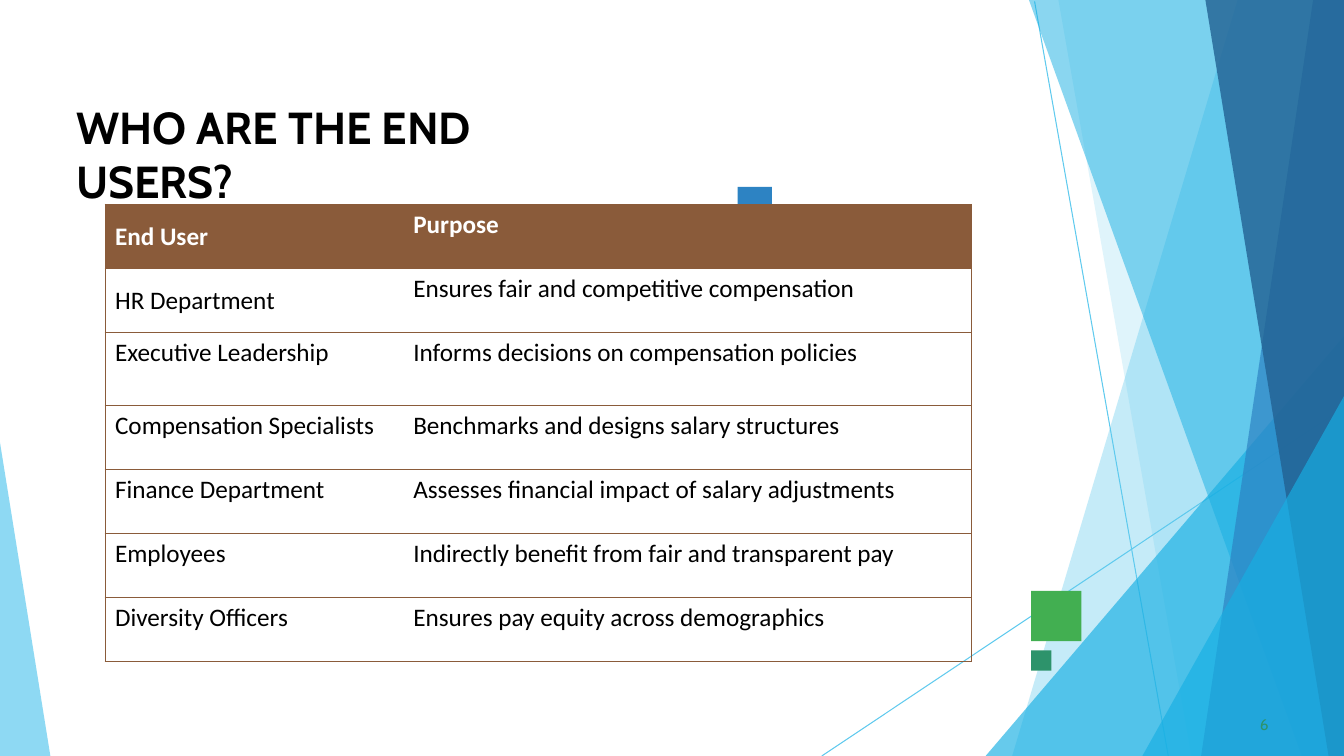
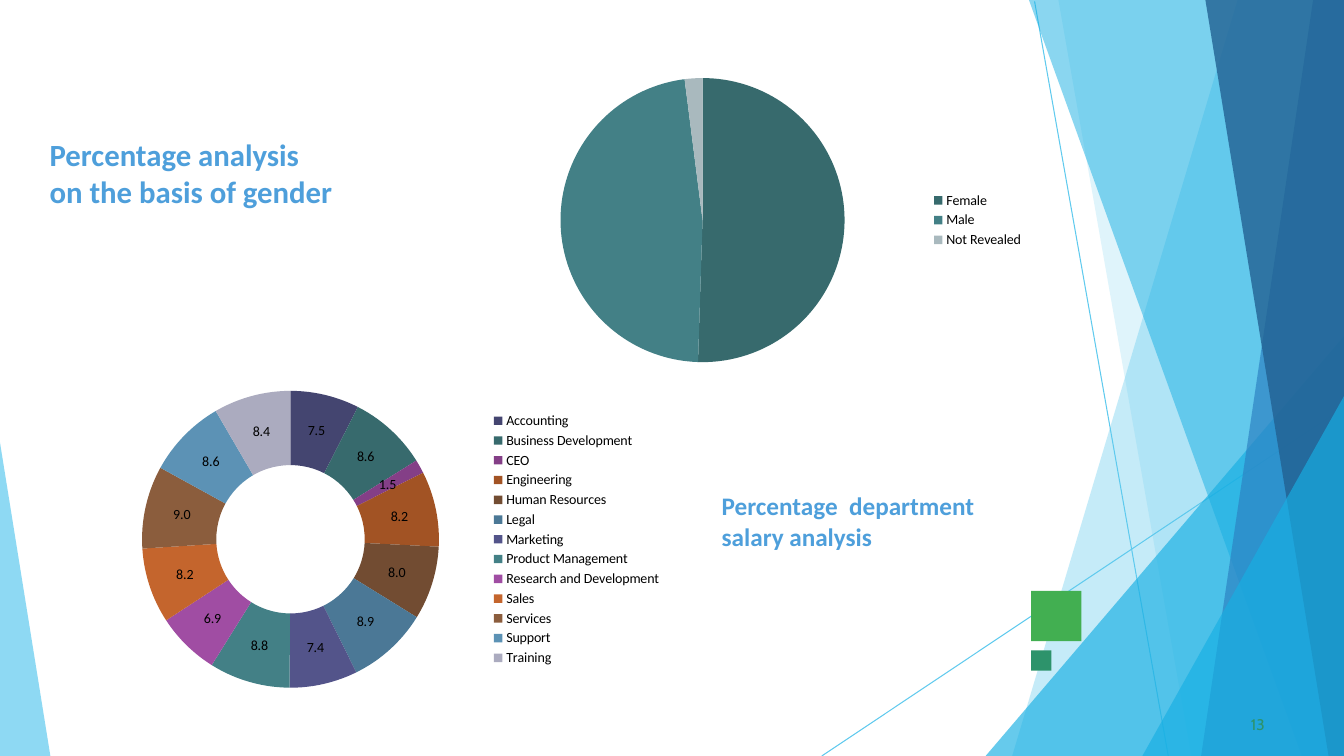
from lxml.etree import SubElement
from pptx import Presentation
from pptx.chart.data import CategoryChartData
from pptx.dml.color import RGBColor
from pptx.enum.chart import XL_CHART_TYPE, XL_LEGEND_POSITION
from pptx.enum.shapes import MSO_CONNECTOR, MSO_SHAPE
from pptx.enum.text import MSO_ANCHOR
from pptx.oxml import parse_xml
from pptx.oxml.ns import nsdecls, qn
from pptx.util import Pt

W, H = 960, 540
BLACK = RGBColor(0x00, 0x00, 0x00)
WHITE = RGBColor(0xFF, 0xFF, 0xFF)
SKY = RGBColor(0x5F, 0xCA, 0xEE)
CYAN = RGBColor(0x17, 0xAF, 0xE3)
BLUE = RGBColor(0x2D, 0x83, 0xC3)
NAVY = RGBColor(0x22, 0x61, 0x92)
GREEN = RGBColor(0x42, 0xAF, 0x51)
TEAL = RGBColor(0x2D, 0x93, 0x6B)
HEADING = RGBColor(0x4E, 0x9F, 0xDB)
BROWN = RGBColor(0x8A, 0x5B, 0x3A)

LINES = [(739, 1, 834.5, H), (W, 291, 587, H)]
PANELS = [
    (SKY, 36, [(W, 0), (884, 0), (723, H), (W, H)]),
    (SKY, 20, [(W, 0), (756, 0), (851, H), (W, H)]),
    (CYAN, 66, [(W, 240), (703.5, H), (W, H)]),
    (CYAN, 50, [(W, 0), (735, 0), (929.5, H), (W, H)]),
    (BLUE, 70, [(W, 0), (938, 0), (858, H), (W, H)]),
    (NAVY, 80, [(W, 0), (861, 0), (949, H), (W, H)]),
    (CYAN, 66, [(W, 283), (816.5, H), (W, H)]),
    (SKY, 70, [(0, 316), (0, H), (35.5, H)]),
]
SQUARES = [(GREEN, 736.5, 422, 36), (TEAL, 736.5, 464.5, 14.5)]
ACCENT = (BLUE, 527, 133.5, 24.5)

TEXTS = [
    [("WHO ARE THE END USERS?", 54.5, 70.5, 394.5, 41, 32, "Cabin", BLACK, True),
     ("6", 897, 510, 16, 15, 11, "Cabin", TEAL, False)],
    [("Percentage analysis\von the basis of gender", 35.5, 96, 416, 60, 22, "Calibri", HEADING, True),
     ("Percentage  department\vsalary analysis", 515.5, 347, 250, 44, 18, "Calibri", HEADING, True),
     ("13", 890.5, 510, 20, 15, 11, "Cabin", TEAL, False)],
]

ROWS = [
    ("End User", "Purpose"),
    ("HR Department", "Ensures fair and competitive compensation"),
    ("Executive Leadership", "Informs decisions on compensation policies"),
    ("Compensation Specialists", "Benchmarks and designs salary structures"),
    ("Finance Department", "Assesses financial impact of salary adjustments"),
    ("Employees", "Indirectly benefit from fair and transparent pay"),
    ("Diversity Officers", "Ensures pay equity across demographics"),
]

GENDERS = [("Female", 50, "376A6D"), ("Male", 47, "438086"), ("Not Revealed", 2, "A9B9BE")]
DEPARTMENTS = [
    ("Accounting", 7.5, "444570"),
    ("Business Development", 8.6, "376A6D"),
    ("CEO", 1.5, "843F87"),
    ("Engineering", 8.2, "A25324"),
    ("Human Resources", 8, "724C32"),
    ("Legal", 8.9, "4B7896"),
    ("Marketing", 7.4, "53548A"),
    ("Product Management", 8.8, "438086"),
    ("Research and Development", 6.9, "A04DA3"),
    ("Sales", 8.2, "C4652D"),
    ("Services", 9, "8B5D3D"),
    ("Support", 8.6, "5C92B5"),
    ("Training", 8.4, "ABABBF"),
]
CHARTS = [
    (XL_CHART_TYPE.PIE, GENDERS, (350.5, 44.5, 388, 225.5), (0.03, 0.05, 0.72, 0.9)),
    (XL_CHART_TYPE.DOUGHNUT, DEPARTMENTS, (64, 270, 416, 230.5), (0.09, 0.04, 0.51, 0.92)),
]


def paint(sp, color):
    sp.shadow.inherit = False
    sp.fill.solid()
    sp.fill.fore_color.rgb = color
    sp.line.fill.background()


def style(font, size, name, color, bold=False):
    font.size = Pt(size)
    font.name = name
    font.color.rgb = color
    font.bold = bold


prs = Presentation()
prs.slide_width, prs.slide_height = Pt(W), Pt(H)

for texts in TEXTS:
    s = prs.slides.add_slide(prs.slide_layouts[6])
    for ends in LINES:
        line = s.shapes.add_connector(MSO_CONNECTOR.STRAIGHT, *[Pt(v) for v in ends])
        line.line.color.rgb = SKY
        line.line.width = Pt(0.75)
        SubElement(line._element.spPr, qn("a:effectLst"))
    for color, alpha, points in PANELS:
        outline = s.shapes.build_freeform(*points[0], scale=Pt(1))
        outline.add_line_segments(points[1:], close=True)
        sp = outline.convert_to_shape()
        paint(sp, color)
        rgb = sp._element.spPr.find(".//" + qn("a:srgbClr"))
        SubElement(rgb, qn("a:alpha"), val=str(alpha * 1000))
    squares = SQUARES + [ACCENT] if texts is TEXTS[0] else SQUARES
    for color, x, y, side in squares:
        sp = s.shapes.add_shape(MSO_SHAPE.RECTANGLE, Pt(x), Pt(y), Pt(side), Pt(side))
        paint(sp, color)
    for text, x, y, w, h, size, name, color, bold in texts:
        sp = s.shapes.add_textbox(Pt(x), Pt(y), Pt(w), Pt(h))
        tf = sp.text_frame
        tf.word_wrap = True
        tf.margin_right = tf.margin_bottom = 0
        tf.margin_left = Pt(3) if name == "Cabin" and not bold else 0
        tf.margin_top = Pt(1)
        if size == 18:
            tf.margin_left, tf.margin_top = Pt(0), Pt(3.6)
        p = tf.paragraphs[0]
        p.text = text
        for r in p.runs:
            style(r.font, size, name, color, bold)

table_slide, chart_slide = prs.slides

frame = table_slide.shapes.add_table(len(ROWS), 2, Pt(75), Pt(146), Pt(619), Pt(326.5))
table = frame.table
table.horz_banding = False
table.columns[0].width, table.columns[1].width = Pt(213), Pt(406)
for i, texts in enumerate(ROWS):
    table.rows[i].height = Pt(52) if i == 2 else Pt(45.75)
    for j, text in enumerate(texts):
        cell = table.cell(i, j)
        cell.text = text
        style(cell.text_frame.paragraphs[0].runs[0].font, 18, "Calibri", BLACK if i else WHITE, i == 0)
        if j == 0 and i < 2:
            cell.vertical_anchor = MSO_ANCHOR.MIDDLE
        if i == 0:
            cell.fill.solid()
            cell.fill.fore_color.rgb = BROWN
        else:
            cell.fill.background()
        inner = "R" if j == 0 else "L"
        for k, side in enumerate("LRTB"):
            fill = "<a:noFill/>" if side == inner else f'<a:solidFill><a:srgbClr val="{BROWN}"/></a:solidFill>'
            border = parse_xml(f'<a:ln{side} {nsdecls("a")} w="{Pt(0.75)}">{fill}</a:ln{side}>')
            cell._tc.get_or_add_tcPr().insert(k, border)

for kind, slices, box, plot_box in CHARTS:
    data = CategoryChartData()
    data.categories = [name for name, value, color in slices]
    data.add_series("Series 1", [value for name, value, color in slices])
    chart = chart_slide.shapes.add_chart(kind, *[Pt(v) for v in box], data).chart
    chart.has_title = False
    style(chart.font, 10, "Calibri", BLACK)
    chart.has_legend = True
    chart.legend.position = XL_LEGEND_POSITION.RIGHT
    chart.legend.include_in_layout = False
    plot = chart.plots[0]
    plot.vary_by_categories = True
    for i, (name, value, color) in enumerate(slices):
        point = plot.series[0].points[i].format
        point.fill.solid()
        point.fill.fore_color.rgb = RGBColor.from_string(color)
        point.line.fill.background()
    if kind == XL_CHART_TYPE.DOUGHNUT:
        plot.has_data_labels = True
        labels = plot.data_labels
        labels.show_value = True
        labels.show_percentage = False
        labels.number_format = "0.0"
        labels.number_format_is_linked = False
        style(labels.font, 10, "Calibri", BLACK)
    area = chart._chartSpace.chart.plotArea
    for old in area.findall(qn("c:layout")):
        area.remove(old)
    sizes = "".join(f'<c:{tag} val="{v}"/>' for tag, v in zip("xywh", plot_box))
    area.insert(0, parse_xml(
        f'<c:layout {nsdecls("c")}><c:manualLayout><c:layoutTarget val="inner"/>'
        f'<c:xMode val="edge"/><c:yMode val="edge"/>{sizes}</c:manualLayout></c:layout>'))

prs.save("out.pptx")
